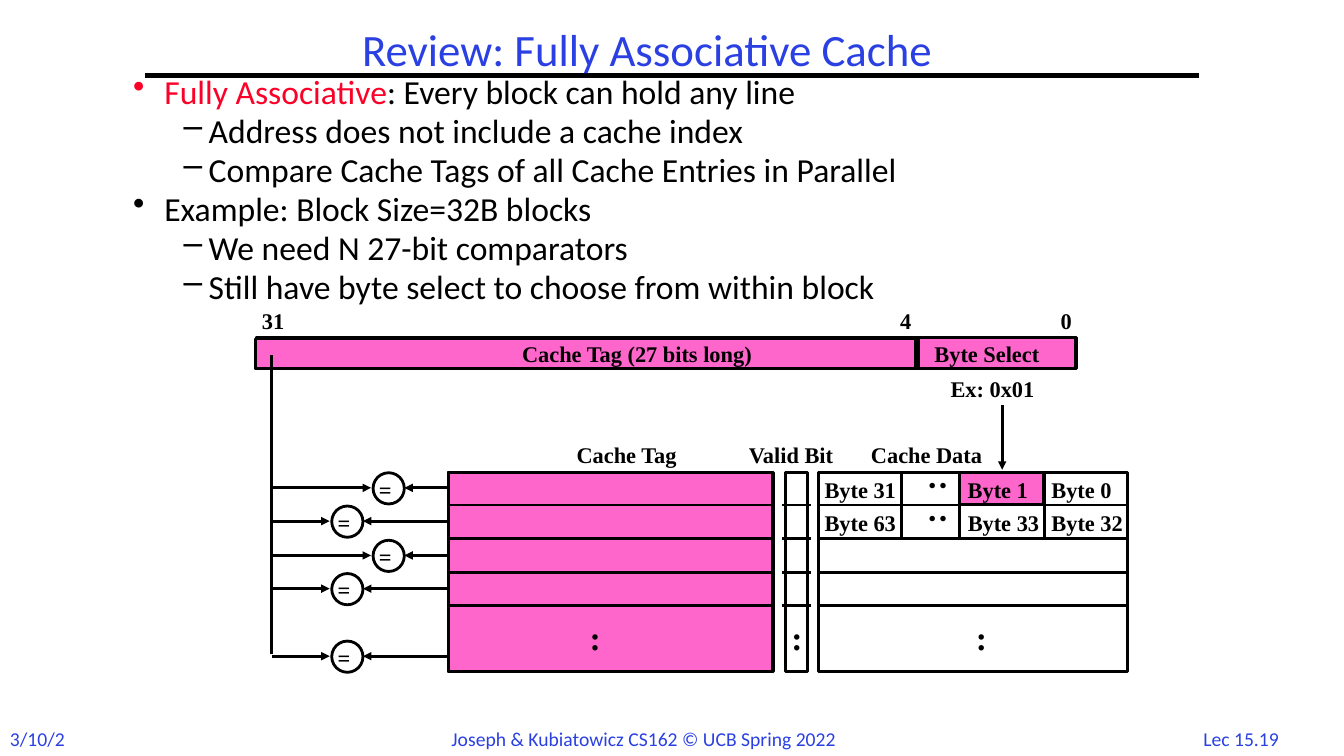
from dataclasses import dataclass

from lxml import etree
from pptx import Presentation
from pptx.dml.color import RGBColor
from pptx.enum.shapes import MSO_CONNECTOR, MSO_SHAPE
from pptx.enum.text import PP_ALIGN
from pptx.oxml.ns import qn
from pptx.util import Emu, Pt

EMU_PER_PX = 9144  # 100 px to the inch
STRAIGHT = MSO_CONNECTOR.STRAIGHT
RECTANGLE, OVAL = MSO_SHAPE.RECTANGLE, MSO_SHAPE.OVAL
LEFT, CENTER = PP_ALIGN.LEFT, PP_ALIGN.CENTER
COLORS = {"black": "000000", "blue": "2A40E2", "red": "FC0128", "pink": "FF66CC"}
SANS, SERIF = "Calibri", "Times New Roman"
ROW_PITCH = 100 / 3


@dataclass(frozen=True)
class Label:
    text: str
    left: int
    top: int
    width: int
    height: int = 37
    size: int = 16
    rotation: int = 0
    font: str = SERIF
    color: str = "black"
    bold: bool = True
    align: PP_ALIGN = LEFT
    inset_x: int = 10
    inset_y: int = 5
    line_spacing: float = 1.0


@dataclass(frozen=True)
class Box:
    left: int
    top: int
    width: int
    height: int
    fill: str = ""
    line_width: float = 2
    preset: MSO_SHAPE = RECTANGLE


@dataclass(frozen=True)
class Line:
    x1: int
    y1: int
    x2: int
    y2: int
    arrow: bool = False
    width: float = 2


@dataclass(frozen=True)
class Bullet:
    level: int
    text: str
    highlight: str = ""


def px(length: float) -> Emu:
    return Emu(round(length) * EMU_PER_PX)


def rgb(name: str) -> RGBColor:
    return RGBColor.from_string(COLORS[name])


def style_font(font, name: str, size: int, color: str, bold: bool = False) -> None:
    font.name, font.size, font.bold = name, Pt(size), bold
    font.color.rgb = rgb(color)


def add_frame(slide, left: int, top: int, width: int, height: int, inset_x: int, inset_y: int):
    """Add a text box with the given insets."""
    shape = slide.shapes.add_textbox(px(left), px(top), px(width), px(height))
    frame = shape.text_frame
    frame.margin_left = frame.margin_right = px(inset_x)
    frame.margin_top = frame.margin_bottom = px(inset_y)
    return shape


def draw_label(slide, label: Label) -> None:
    shape = add_frame(slide, label.left, label.top, label.width, label.height,
                      label.inset_x, label.inset_y)
    shape.rotation = label.rotation
    shape.text_frame.word_wrap = False
    paragraph = shape.text_frame.paragraphs[0]
    paragraph.text = label.text
    paragraph.alignment = label.align
    paragraph.line_spacing = label.line_spacing
    style_font(paragraph.runs[0].font, label.font, label.size, label.color, label.bold)


def draw_box(slide, box: Box) -> None:
    shape = slide.shapes.add_shape(box.preset, px(box.left), px(box.top), px(box.width), px(box.height))
    shape.shadow.inherit = False
    if box.fill:
        shape.fill.solid()
        shape.fill.fore_color.rgb = rgb(box.fill)
    else:
        shape.fill.background()
    shape.line.color.rgb = rgb("black")
    shape.line.width = Pt(box.line_width)


def draw_line(slide, line: Line) -> None:
    connector = slide.shapes.add_connector(STRAIGHT, px(line.x1), px(line.y1), px(line.x2), px(line.y2))
    connector.line.color.rgb = rgb("black")
    connector.line.width = Pt(line.width)
    properties = connector._element.spPr
    if line.arrow:
        etree.SubElement(properties.find(qn("a:ln")), qn("a:tailEnd"), type="triangle")
    etree.SubElement(properties, qn("a:effectLst"))


def draw_bullets(slide, bullets: list[Bullet]) -> None:
    frame = add_frame(slide, 125, 75, 1092, 282, 7, 3).text_frame
    frame.word_wrap = True
    for index, bullet in enumerate(bullets):
        paragraph = frame.add_paragraph() if index else frame.paragraphs[0]
        character, margin, hanging = (("•", 31, 31), ("–", 75, 25))[bullet.level]
        paragraph.level = bullet.level
        properties = paragraph._p.get_or_add_pPr()
        properties.set("marL", str(px(margin)))
        properties.set("indent", str(-px(hanging)))
        etree.SubElement(properties, qn("a:buChar"), char=character)
        paragraph.line_spacing = 0.8
        paragraph.space_before = Pt(4.8 if index else 0)
        for text, color in ((bullet.highlight, "red"), (bullet.text, "black")):
            if text:
                run = paragraph.add_run()
                run.text = text
                style_font(run.font, SANS, 24, color)


def draw_footer(slide) -> None:
    for text, left, width, align in (
        ("Lec 15.19", 1177, 108, CENTER),
        ("3/10/22", 0, 80, LEFT),
        ("Joseph & Kubiatowicz CS162 © UCB Spring 2022", 438, 413, LEFT),
    ):
        draw_label(slide, Label(text, left, 716, width, 34, 14, font=SANS,
                                color="blue", bold=False, align=align))


def draw_address(slide) -> None:
    for box in (Box(909, 335, 157, 31, "pink", 1.5), Box(253, 336, 655, 30, "pink", 1.5),
                Box(254, 335, 814, 31)):
        draw_box(slide, box)
    draw_line(slide, Line(911, 335, 911, 366))
    for label in (Label("31", 250, 300, 42), Label("4", 883, 300, 31), Label("0", 1042, 300, 31),
                  Label("Cache Tag (27 bits long)", 508, 333, 251),
                  Label("Byte Select", 917, 333, 126), Label("Ex: 0x01", 933, 367, 104)):
        draw_label(slide, label)


def draw_cache(slide) -> None:
    draw_box(slide, Box(444, 468, 322, 199, "pink", 1.5))
    draw_box(slide, Box(952, 469, 83, 31, "pink", 1.5))
    # Each column: left, width, overhang of its row lines, left of its colon
    for left, width, overhang, colon in ((445, 322, 2, 575), (779, 22, 3, 775), (812, 306, 0, 958)):
        draw_box(slide, Box(left, 469, width, 197))
        for row in range(4):
            y = round(501 + row * ROW_PITCH)
            draw_line(slide, Line(left - overhang, y, left + width + overhang, y))
        draw_label(slide, Label(":", colon, 607, 31, 50, 24))
    for label in (Label("Cache Tag", 562, 433, 121), Label("Valid Bit", 733, 433, 106),
                  Label("Cache Data", 854, 433, 131)):
        draw_label(slide, label)
    for row, numbers in enumerate(((31, 1, 0), (63, 33, 32))):
        top = 469 + 33 * row
        for number, left in zip(numbers, (808, 950, 1033)):
            draw_label(slide, Label(f"Byte {number}", left, top - 2, 92 if number > 9 else 80))
        for x in (894, 952, 1036):
            draw_line(slide, Line(x, top, x, top + 31))
        draw_label(slide, Label(":", 909, top - 12, 31, 50, 24, rotation=270))
    draw_line(slide, Line(994, 402, 994, 466, arrow=True))


def draw_comparators(slide) -> None:
    draw_line(slide, Line(269, 352, 269, 649))
    for row, left in ((0, 370), (1, 329), (2, 370), (3, 329), (5, 329)):
        y = round(484 + row * ROW_PITCH)
        draw_box(slide, Box(left, y - 15, 31, 31, preset=OVAL))
        draw_label(slide, Label("=", left - 4, y - 17, 33))
        draw_line(slide, Line(270, y, left - 2, y, arrow=True))
        draw_line(slide, Line(445, y, left + 31, y, arrow=True))


def main() -> None:
    presentation = Presentation()
    presentation.slide_width, presentation.slide_height = px(1333), px(750)
    slide = presentation.slides.add_slide(presentation.slide_layouts[6])
    draw_footer(slide)
    draw_line(slide, Line(144, 75, 1189, 75, width=3))
    draw_label(slide, Label("Review: Fully Associative Cache", 311, 25, 662, 54, 32, font=SANS, color="blue",
                            bold=False, align=CENTER, inset_x=7, inset_y=3, line_spacing=0.9))
    draw_bullets(slide, [
        Bullet(0, ": Every block can hold any line", "Fully Associative"),
        Bullet(1, "Address does not include a cache index"),
        Bullet(1, "Compare Cache Tags of all Cache Entries in Parallel"),
        Bullet(0, "Example: Block Size=32B blocks"),
        Bullet(1, "We need N 27-bit comparators"),
        Bullet(1, "Still have byte select to choose from within block"),
    ])
    draw_address(slide)
    draw_cache(slide)
    draw_comparators(slide)
    presentation.save("out.pptx")


if __name__ == "__main__":
    main()
